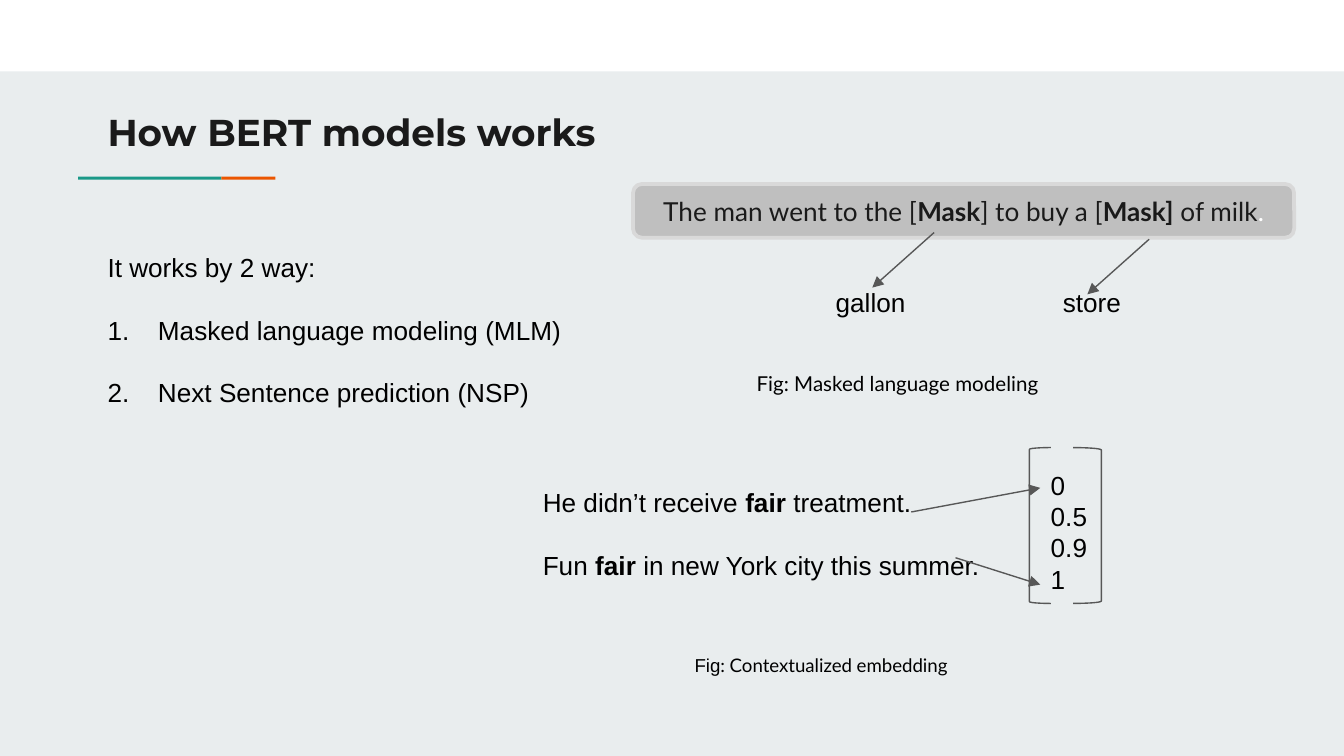
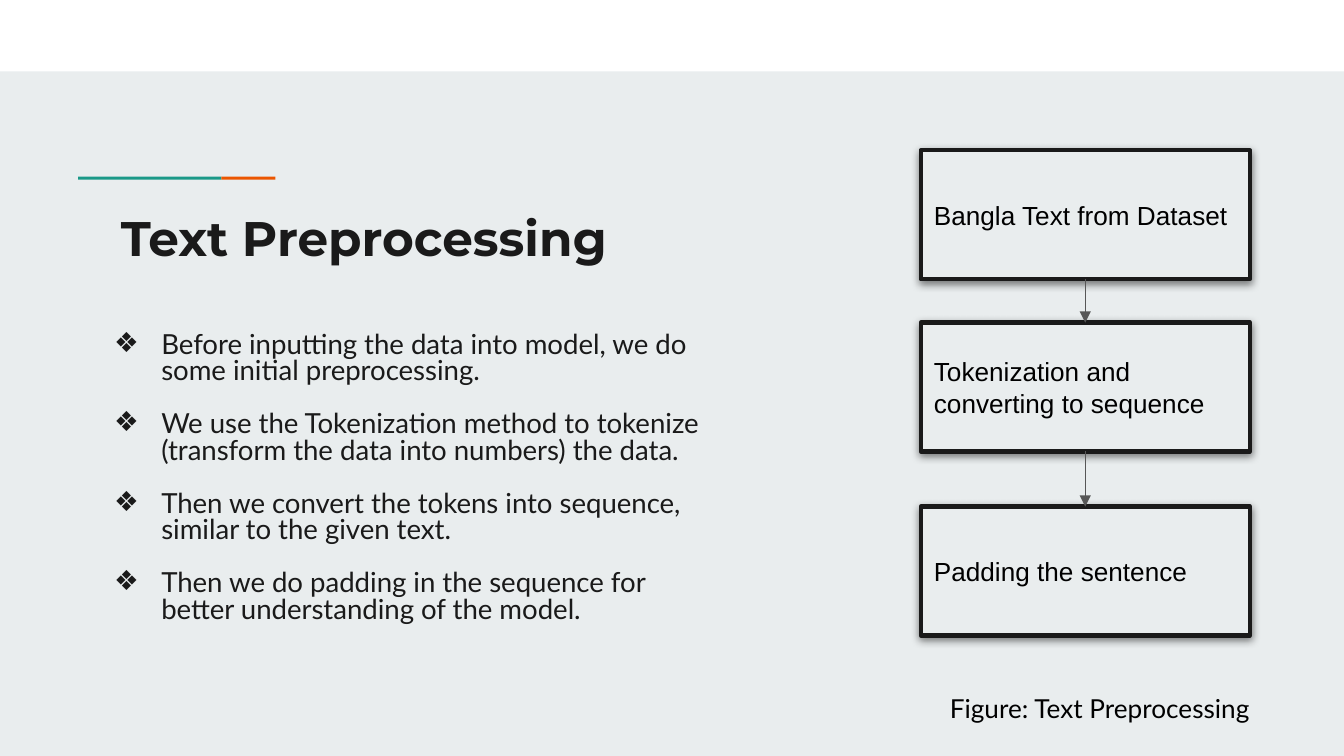
import pptx
import pptx.dml.color
import pptx.enum.shapes
import pptx.enum.text
import pptx.oxml
import pptx.oxml.ns
import pptx.util
from lxml import etree

Pt = pptx.util.Pt
SHAPE = pptx.enum.shapes.MSO_SHAPE
ALIGN = pptx.enum.text.PP_ALIGN
ANCHOR = pptx.enum.text.MSO_ANCHOR

PAPER, WHITE, INK, BLACK = "E9EDEE", "FFFFFF", "1A1A1A", "000000"
TEAL, ORANGE, LINE = "1A9988", "EB5600", "575757"
GREY, PALE = "BFBFBF", "D9D9D9"
ARIAL_LINE = Pt(16.8)
WIDE = (7.2, 7.2)
BOLD = {"bold": True}


def color(value):
    """Turn a hex string into a colour."""
    return pptx.dml.color.RGBColor.from_string(value)


def child(parent, tag, **attributes):
    """Append a drawing element to a parent element."""
    return etree.SubElement(parent, pptx.oxml.ns.qn(tag), attributes)


def format_span(span, size, font, ink, bold=False):
    """Set the typeface of one run."""
    span.font.size = Pt(size)
    span.font.name = font
    span.font.bold = bold
    span.font.color.rgb = color(ink)


def write(box, paras, size=14, font="Arial", ink=BLACK, bold=False, align=ALIGN.LEFT,
          anchor=ANCHOR.TOP, inset=(7.2, 3.6), spacing=None, gap=0):
    """Fill a shape with paragraphs, each a string or a list of spans."""
    frame = box.text_frame
    frame.word_wrap = True
    frame.auto_size = pptx.enum.text.MSO_AUTO_SIZE.NONE
    frame.vertical_anchor = anchor
    frame.margin_left = frame.margin_right = Pt(inset[0])
    frame.margin_top = frame.margin_bottom = Pt(inset[1])
    for index, spans in enumerate(paras):
        para = frame.add_paragraph() if index else frame.paragraphs[0]
        para.alignment = align
        para.space_before = Pt(gap if index else 0)
        para.line_spacing = spacing or (ARIAL_LINE if font == "Arial" else 1.0)
        for part in [spans] if isinstance(spans, str) else spans:
            text, changes = (part, {}) if isinstance(part, str) else part
            span = para.add_run()
            span.text = text
            format_span(span, **{"size": size, "font": font, "ink": ink, "bold": bold, **changes})
    return frame


def add_bullet(para, indent, hanging, ink, mark=None):
    """Give a paragraph a mark, or a number when no mark is passed."""
    props = para._p.get_or_add_pPr()
    props.set("marL", str(Pt(indent)))
    props.set("indent", str(-Pt(hanging)))
    child(child(props, "a:buClr"), "a:srgbClr", val=ink)
    if mark:
        child(props, "a:buChar", char=mark)
    else:
        child(props, "a:buAutoNum", type="arabicPeriod")


def place(box, left, top, width, height):
    """Move and size a placeholder."""
    box.left, box.top, box.width, box.height = Pt(left), Pt(top), Pt(width), Pt(height)
    return box


def add_text(page, left, top, width, height, paras, **style):
    """Add a text box."""
    box = page.shapes.add_textbox(Pt(left), Pt(top), Pt(width), Pt(height))
    write(box, paras, **style)


def add_shape(page, kind, left, top, width, height, fill=None, line=None, weight=0.75):
    """Add a preset shape without a shadow."""
    box = page.shapes.add_shape(kind, Pt(left), Pt(top), Pt(width), Pt(height))
    box.shadow.inherit = False
    if fill:
        box.fill.solid()
        box.fill.fore_color.rgb = color(fill)
    else:
        box.fill.background()
    if line:
        box.line.color.rgb = color(line)
        box.line.width = Pt(weight)
    else:
        box.line.fill.background()
    return box


def add_shadow(box):
    """Give a shape a soft shadow below it."""
    effects = box._element.spPr.find(pptx.oxml.ns.qn("a:effectLst"))
    shadow = child(effects, "a:outerShdw", blurRad=str(Pt(4.5)), dist=str(Pt(1.5)),
                   dir="5400000", algn="bl", rotWithShape="0")
    child(child(shadow, "a:srgbClr", val=BLACK), "a:alpha", val="50000")


def add_arrow(page, x1=0, y1=0, x2=0, y2=0):
    """Add a thin straight arrow."""
    arrow = page.shapes.add_connector(
        pptx.enum.shapes.MSO_CONNECTOR.STRAIGHT, Pt(x1), Pt(y1), Pt(x2), Pt(y2))
    arrow.line.color.rgb = color(LINE)
    arrow.line.width = Pt(0.75)
    child(arrow.line._get_or_add_ln(), "a:tailEnd", type="triangle")
    child(arrow._element.spPr, "a:effectLst")
    return arrow


def add_page(deck, title, place_at, size):
    """Add a page with its band, accent rule and title."""
    page = deck.slides.add_slide(deck.slide_layouts[0])
    add_shape(page, SHAPE.RECTANGLE, 0, 0, 720, 38.3, WHITE)
    add_shape(page, SHAPE.RECTANGLE, 41.8, 94.7, 76.8, 1.6, TEAL)
    add_shape(page, SHAPE.RECTANGLE, 118.6, 94.7, 29, 1.6, ORANGE)
    write(place(page.shapes.title, *place_at), [title], size=size, font="Montserrat",
          ink=INK, bold=True, inset=WIDE)
    return page


def add_masking(page):
    """Draw the masked sentence with its two answers."""
    sentence = add_shape(page, SHAPE.ROUNDED_RECTANGLE, 339.1, 98.6, 354.2, 28.8, GREY, PALE, 2)
    write(sentence, [["The man went to the [", ("Mask", BOLD), "] to buy a [", ("Mask]", BOLD),
                      " of milk", (".", {"ink": WHITE})]],
          font="Lato", ink=INK, align=ALIGN.CENTER, anchor=ANCHOR.MIDDLE)
    add_text(page, 440.6, 149.8, 60, 24.5, ["gallon"])
    add_text(page, 562.3, 149.8, 68.4, 24.5, ["store"])
    add_arrow(page, 500.4, 124.6, 467.3, 154.1)
    add_arrow(page, 615.6, 128.2, 582.5, 157.7)
    add_text(page, 398.2, 195.1, 250.6, 20.9, ["Fig: Masked language modeling"],
             size=11, font="Lato")


def add_embedding(page):
    """Draw the two sentences and the vector they point into."""
    add_text(page, 283.7, 257, 265.7, 58.3,
             [["He didn’t receive ", ("fair", BOLD), " treatment."],
              ["Fun ", ("fair", BOLD), " in new York city this summer."]], gap=16.8)
    add_shape(page, SHAPE.LEFT_BRACKET, 551.5, 239.8, 11.5, 83.5, line=LINE)
    add_shape(page, SHAPE.RIGHT_BRACKET, 574.9, 239.8, 15.1, 83.5, line=LINE)
    add_text(page, 555.8, 247.7, 40, 74.9, ["0", "0.5", "0.9", "1"])
    add_arrow(page, 488.2, 274.3, 557.3, 261.4)
    add_arrow(page, 511.9, 298.8, 557.3, 313.2)
    add_text(page, 365, 347, 250.6, 19.4,
             [[("Fig", {"font": "Arial"}), ": Contextualized embedding"]], size=10, font="Lato")


def build_models(deck):
    """Build the page on how the models work."""
    page = add_page(deck, "How BERT models works", (50.4, 51.1, 365.8, 43.9), 20)
    ways = place(page.placeholders[1], 50.4, 131, 265.7, 92.2)
    frame = write(ways, ["It works by 2 way:", "Masked language modeling (MLM)",
                         "Next Sentence prediction (NSP)"], gap=16.8)
    for para in frame.paragraphs[1:]:
        add_bullet(para, 27, 27, BLACK)
    add_masking(page)
    add_embedding(page)


def build_preprocessing(deck):
    """Build the page on text preprocessing."""
    page = add_page(deck, "Text Preprocessing", (57.6, 104.4, 418.3, 60.5), 26)
    steps = place(page.placeholders[1], 43.2, 157, 342, 217.4)
    frame = write(steps, [
        "Before inputting the data into model, we do some initial preprocessing.",
        "We use the Tokenization method to tokenize (transform the data into numbers) the data.",
        "Then we convert the tokens into sequence, similar to the given text.",
        "Then we do padding in the sequence for better understanding of the model.",
    ], size=14.8, font="Lato", ink=INK, inset=WIDE, spacing=0.8, gap=14.2)
    frame.margin_top = Pt(21.4)
    for para in frame.paragraphs:
        add_bullet(para, 36, 25.2, INK, "❖")

    previous = None
    for top, label in ((80.6, "Bangla Text from Dataset"),
                       (172.8, "Tokenization and converting to sequence"),
                       (271.4, "Padding the sentence")):
        box = add_shape(page, SHAPE.RECTANGLE, 493.2, top, 176.4, 69.1, PAPER, INK, 2.25)
        add_shadow(box)
        write(box, [label], anchor=ANCHOR.MIDDLE, inset=WIDE)
        if previous:
            arrow = add_arrow(page)
            arrow.begin_connect(previous, 2)
            arrow.end_connect(box, 0)
        previous = box
    add_text(page, 501.8, 363.6, 194.4, 31.7, ["Figure: Text Preprocessing"],
             font="Lato", inset=WIDE)


def main():
    """Build and save the deck."""
    deck = pptx.Presentation()
    deck.slide_width, deck.slide_height = Pt(720), Pt(405)
    fill = deck.slide_master.background.fill
    fill.solid()
    fill.fore_color.rgb = color(PAPER)
    build_models(deck)
    build_preprocessing(deck)
    deck.save("out.pptx")


main()
